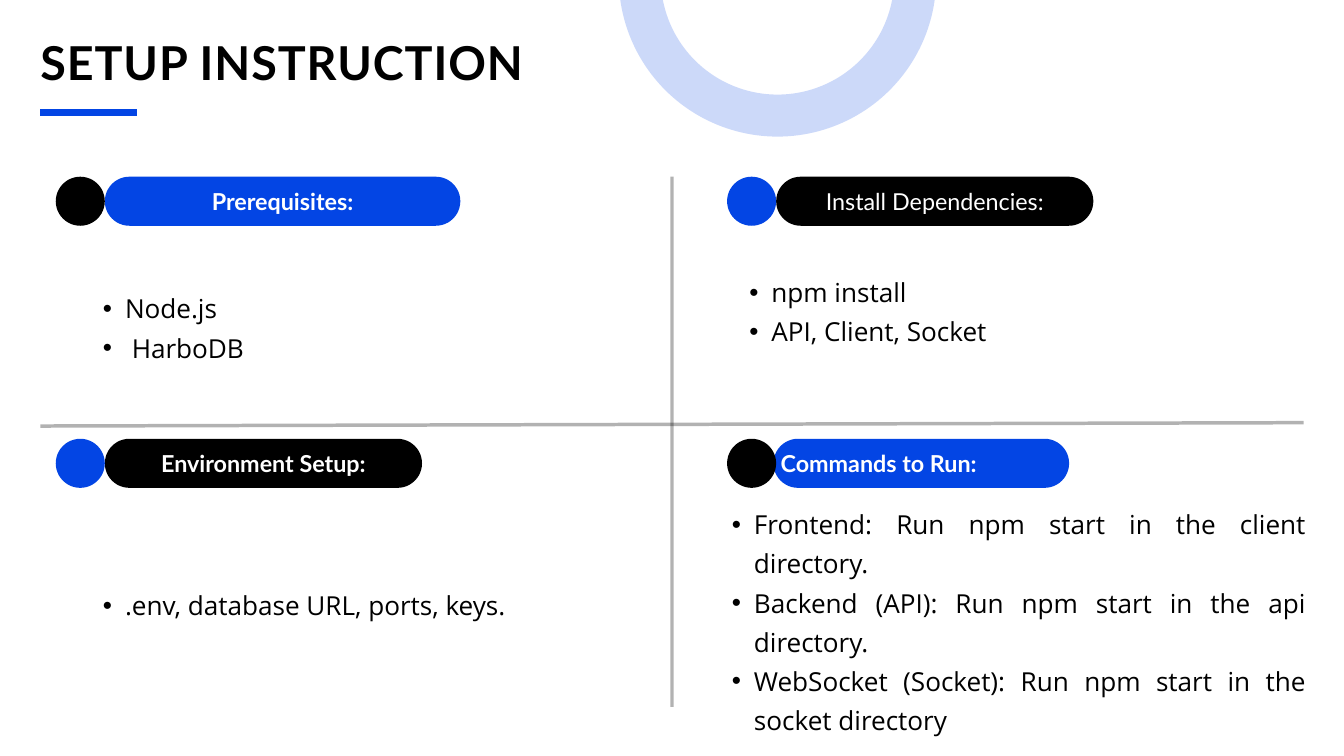
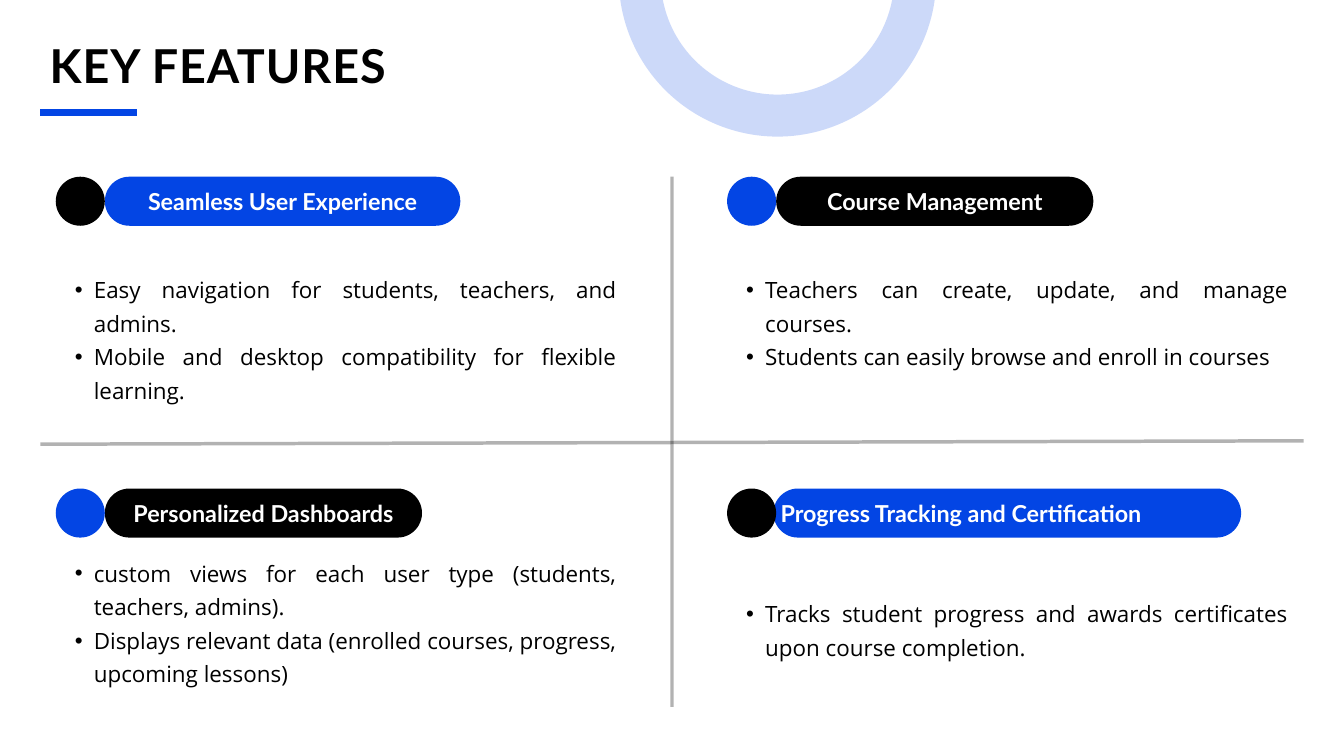
from dataclasses import dataclass

from lxml import etree
from pptx import Presentation
from pptx.dml.color import RGBColor
from pptx.enum.shapes import MSO_CONNECTOR, MSO_SHAPE
from pptx.enum.text import MSO_ANCHOR, MSO_AUTO_SIZE, PP_ALIGN
from pptx.oxml.ns import qn
from pptx.util import Inches, Pt

OVAL, PILL = MSO_SHAPE.OVAL, MSO_SHAPE.ROUNDED_RECTANGLE
STRAIGHT = MSO_CONNECTOR.STRAIGHT
LEFT, CENTER, JUSTIFY = PP_ALIGN.LEFT, PP_ALIGN.CENTER, PP_ALIGN.JUSTIFY
TOP, MIDDLE = MSO_ANCHOR.TOP, MSO_ANCHOR.MIDDLE
FIXED, GROW = MSO_AUTO_SIZE.NONE, MSO_AUTO_SIZE.SHAPE_TO_FIT_TEXT

BLUE, BLACK, WHITE = "0345E4", "000000", "FFFFFF"
HEADING_FONT, BODY_FONT = "Lato", "Open Sans"

SLIDE_WIDTH, SLIDE_HEIGHT = Inches(20), Inches(11.25)
COLUMN = SLIDE_WIDTH / 20
ROW = SLIDE_HEIGHT / 11.25
MARGIN, MIDLINE = 0.6, 10
PANEL_LEFTS = (0.83, 10.82)
UPPER_ROW = 2.63
BADGE_SIZE = 0.73
JUSTIFIED_OVERLAP = 0.04


@dataclass
class Panel:
    heading: str
    pill_width: float
    bullets: list
    body: tuple
    bold: bool = True
    alignment: int = CENTER


def columns(count):
    return round(COLUMN * count)


def rows(count):
    return round(ROW * count)


def place(left, top, width, height):
    return columns(left), rows(top), columns(width), rows(height)


def color(hex_string):
    return RGBColor.from_string(hex_string)


def set_opacity(shape, percent):
    solid_color = shape.line._get_or_add_ln().find(qn("a:solidFill"))[0]
    etree.SubElement(solid_color, qn("a:alpha"), val=str(percent * 1000))


def format_frame(frame, anchor, auto_size, margins=(0, 0, 0, 0)):
    frame.word_wrap = True
    frame.auto_size = auto_size
    frame.vertical_anchor = anchor
    (frame.margin_left, frame.margin_top,
     frame.margin_right, frame.margin_bottom) = map(Inches, margins)


def add_run(paragraph, text, font_name, size, hex_string, bold=False):
    run = paragraph.add_run()
    run.text = text
    run.font.name = font_name
    run.font.size = Pt(size)
    run.font.bold = bold
    run.font.color.rgb = color(hex_string)
    return run


def add_rule(slide, start, end, hex_string, weight, opacity=100):
    rule = slide.shapes.add_connector(
        STRAIGHT, columns(start[0]), rows(start[1]), columns(end[0]), rows(end[1]))
    rule.line.color.rgb = color(hex_string)
    rule.line.width = Pt(weight)
    if opacity < 100:
        set_opacity(rule, opacity)
    etree.SubElement(rule._element.spPr, qn("a:effectLst"))


def add_solid(slide, kind, box, hex_string):
    shape = slide.shapes.add_shape(kind, *place(*box))
    shape.shadow.inherit = False
    shape.fill.solid()
    shape.fill.fore_color.rgb = color(hex_string)
    shape.line.fill.background()
    return shape


def add_ring(slide):
    ring = slide.shapes.add_shape(OVAL, *place(9.52, -2.38, 4.1, 4.1))
    ring.shadow.inherit = False
    ring.fill.background()
    ring.line.color.rgb = color(BLUE)
    ring.line.width = Pt(45)
    set_opacity(ring, 20)


def set_title(slide, text, left, top):
    title = slide.shapes.title
    title.left, title.top, title.width, title.height = place(left, top, 11.78, 0.97)
    format_frame(title.text_frame, TOP, FIXED)
    paragraph = title.text_frame.paragraphs[0]
    paragraph.alignment = LEFT
    paragraph.line_spacing = Pt(70)
    run = add_run(paragraph, text, HEADING_FONT, 50, BLACK, True)
    run.font._element.set("spc", "100")


def add_heading(slide, panel, left, top, disc_color, pill_color):
    overlap = JUSTIFIED_OVERLAP if panel.alignment == JUSTIFY else 0
    box = (left + BADGE_SIZE - overlap, top, panel.pill_width, BADGE_SIZE)
    pill = add_solid(slide, PILL, box, pill_color)
    pill.adjustments[0] = 0.5
    format_frame(pill.text_frame, MIDDLE, FIXED, (0, 0, 0, 0.08))
    paragraph = pill.text_frame.paragraphs[0]
    paragraph.alignment = panel.alignment
    paragraph.line_spacing = Pt(35)
    add_run(paragraph, panel.heading, HEADING_FONT, 25, WHITE, panel.bold)
    add_solid(slide, OVAL, (left, top, BADGE_SIZE, BADGE_SIZE), disc_color)


def add_bullets(slide, panel, size):
    frame = slide.shapes.add_textbox(*place(*panel.body)).text_frame
    format_frame(frame, TOP, GROW)
    hanging = Inches(size * 0.0118)
    for index, text in enumerate(panel.bullets):
        paragraph = frame.add_paragraph() if index else frame.paragraphs[0]
        paragraph.level = 1
        paragraph.alignment = JUSTIFY
        paragraph.line_spacing = Pt(size * 1.5)
        properties = paragraph._p.get_or_add_pPr()
        properties.set("marL", str(2 * hanging))
        properties.set("indent", str(-hanging))
        etree.SubElement(properties, qn("a:buFont"), typeface="Arial")
        etree.SubElement(properties, qn("a:buChar"), char="•")
        add_run(paragraph, text, BODY_FONT, size, BLACK)


def add_quadrant_slide(presentation, title, title_at, divider, lower_row, size, panels):
    slide = presentation.slides.add_slide(presentation.slide_layouts[5])
    set_title(slide, title, *title_at)
    add_rule(slide, (MARGIN, divider), (20 - MARGIN, divider - 0.05), BLACK, 3.75, 30)
    add_rule(slide, (MIDLINE, UPPER_ROW), (MIDLINE, 10.52), BLACK, 3.75, 30)
    add_rule(slide, (MARGIN, 1.67), (2.04, 1.67), BLUE, 7.5)
    for index, panel in enumerate(panels):
        row, column = divmod(index, 2)
        colors = (BLACK, BLUE) if row == column else (BLUE, BLACK)
        top = lower_row if row else UPPER_ROW
        add_heading(slide, panel, PANEL_LEFTS[column], top, *colors)
        add_bullets(slide, panel, size)
    add_ring(slide)


def main():
    presentation = Presentation()
    presentation.slide_width, presentation.slide_height = SLIDE_WIDTH, SLIDE_HEIGHT

    setup_panels = [
        Panel("Prerequisites:", 5.29, ["Node.js", " HarboDB"], (1.2, 4.24, 8.34, 1.17)),
        Panel("Install Dependencies:", 4.72, ["npm install", "API, Client, Socket"],
              (10.82, 4, 8.34, 1.17), bold=False),
        Panel("Environment Setup:", 4.72, [".env, database URL, ports, keys."],
              (1.2, 8.66, 8.34, 0.58)),
        Panel("Commands to Run:", 4.4,
              ["Frontend: Run npm start in the client directory.",
               "Backend (API): Run npm start in the api directory.",
               "WebSocket (Socket): Run npm start in the socket directory"],
              (10.56, 7.45, 8.87, 2.33), alignment=JUSTIFY),
    ]
    feature_panels = [
        Panel("Seamless User Experience", 5.29,
              ["Easy navigation for students, teachers, and admins.",
               "Mobile and desktop compatibility for flexible learning."],
              (0.83, 4.01, 8.34, 2)),
        Panel("Course Management", 4.72,
              ["Teachers can create, update, and manage courses.",
               "Students can easily browse and enroll in courses"],
              (10.82, 4.01, 8.34, 1.5)),
        Panel("Personalized Dashboards", 4.72,
              ["custom views for each user type (students, teachers, admins).",
               "Displays relevant data (enrolled courses, progress, upcoming lessons)"],
              (0.83, 8.23, 8.34, 2.47)),
        Panel("Progress Tracking and Certification", 6.96,
              ["Tracks student progress and awards certificates upon course completion."],
              (10.82, 8.83, 8.34, 0.97), alignment=JUSTIFY),
    ]
    add_quadrant_slide(presentation, "SETUP INSTRUCTION", (MARGIN, 0.37),
                       6.34, 6.53, 28, setup_panels)
    add_quadrant_slide(presentation, "KEY FEATURES", (0.74, 0.41),
                       6.61, 7.27, 24, feature_panels)
    presentation.save("out.pptx")


if __name__ == "__main__":
    main()
